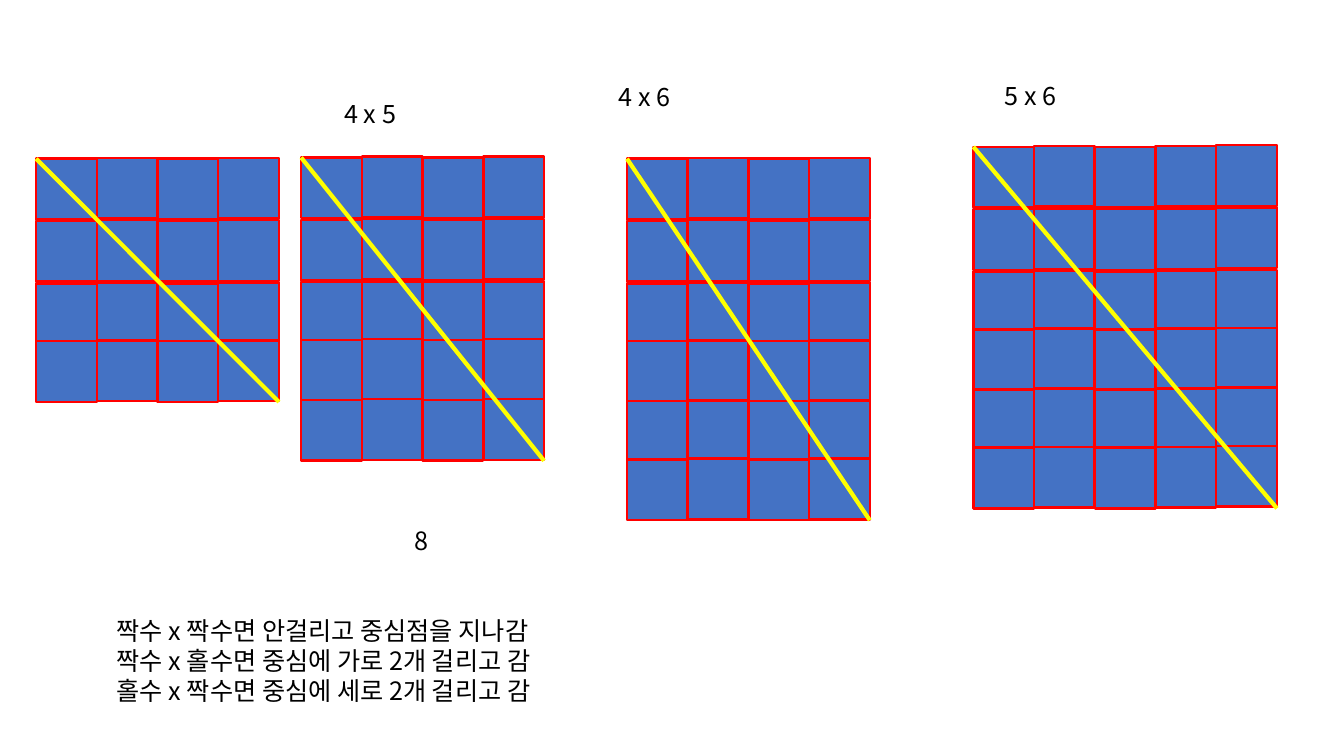
from lxml import etree
from pptx import Presentation, util as u
from pptx.dml.color import RGBColor
from pptx.enum import shapes, text
from pptx.oxml import ns

BLUE = RGBColor(0x44, 0x72, 0xC4)
RED = RGBColor(0xFF, 0x00, 0x00)
YELLOW = RGBColor(0xFF, 0xFF, 0x00)
BLACK = RGBColor(0x00, 0x00, 0x00)
FONT = "Noto Sans CJK KR"
FONT_FORMAT = {"name": FONT, "size": u.Pt(18)}
FRAME_FORMAT = {"word_wrap": False, "auto_size": text.MSO_AUTO_SIZE.SHAPE_TO_FIT_TEXT}

TILE = 1.53
ROW_OFFSETS = (0, 1.57, 3.14, 4.6, 6.11, 7.58)
COLUMN_RISES = (0, 0.02, 0, 0.02, 0.04)

GRIDS = (
    (7.59, 3.97, 4, 5),
    (15.8, 4.0, 4, 6),
    (24.53, 3.7, 5, 6),
    (0.91, 4.0, 4, 4),
)
LABELS = (
    (15.34, 1.93, 1.98, 1.02, ("4 x 6",)),
    (10.19, 13.11, 0.86, 1.02, ("8",)),
    (8.43, 2.36, 1.98, 1.02, ("4 x 5",)),
    (25.07, 1.91, 1.98, 1.02, ("5 x 6",)),
    (2.69, 15.37, 12.37, 2.57, (
        "짝수 x 짝수면 안걸리고 중심점을 지나감",
        "짝수 x 홀수면 중심에 가로 2개 걸리고 감",
        "홀수 x 짝수면 중심에 세로 2개 걸리고 감",
    )),
)


def set_format(target, values):
    """Set every attribute in values on the target."""
    for name, value in values.items():
        setattr(target, name, value)


def set_line(shape, color, points):
    """Give a shape or connector a solid line."""
    shape.line.color.rgb = color
    shape.line.width = u.Pt(points)


def add_tile(page, left, top):
    """Add one square of a grid."""
    tile = page.shapes.add_shape(
        shapes.MSO_SHAPE.RECTANGLE, u.Cm(left), u.Cm(top), u.Cm(TILE), u.Cm(TILE))
    tile.shadow.inherit = False
    tile.fill.solid()
    tile.fill.fore_color.rgb = BLUE
    set_line(tile, RED, 1.75)


def add_diagonal(page, left, top, right, bottom):
    """Add the yellow line across a grid."""
    diagonal = page.shapes.add_connector(
        shapes.MSO_CONNECTOR.STRAIGHT, u.Cm(left), u.Cm(top), u.Cm(right), u.Cm(bottom))
    set_line(diagonal, YELLOW, 3)
    etree.SubElement(diagonal._element.spPr, ns.qn("a:effectLst"))


def add_grid(page, left, top, columns, rows):
    """Add a grid of tiles with its diagonal."""
    for offset in ROW_OFFSETS[:rows]:
        for column, rise in enumerate(COLUMN_RISES[:columns]):
            add_tile(page, left + column * TILE, top + offset - rise)
    bottom = top + ROW_OFFSETS[rows - 1] + TILE
    add_diagonal(page, left, top, left + columns * TILE, bottom)


def add_label(page, left, top, width, height, lines):
    """Add a text box with one paragraph per line."""
    box = page.shapes.add_textbox(u.Cm(left), u.Cm(top), u.Cm(width), u.Cm(height))
    frame = box.text_frame
    set_format(frame, FRAME_FORMAT)
    frame.text = "\n".join(lines)
    for para in frame.paragraphs:
        for span in para.runs:
            set_format(span.font, FONT_FORMAT)
            span.font.color.rgb = BLACK
            properties = span._r.get_or_add_rPr()
            etree.SubElement(properties, ns.qn("a:ea"), typeface=FONT)


def main():
    """Build the slide and save the deck."""
    deck = Presentation()
    set_format(deck, {"slide_width": u.Cm(33.87), "slide_height": u.Cm(19.05)})
    page = deck.slides.add_slide(deck.slide_layouts[6])
    for grid in GRIDS:
        add_grid(page, *grid)
    for label in LABELS:
        add_label(page, *label)
    deck.save("out.pptx")


main()
